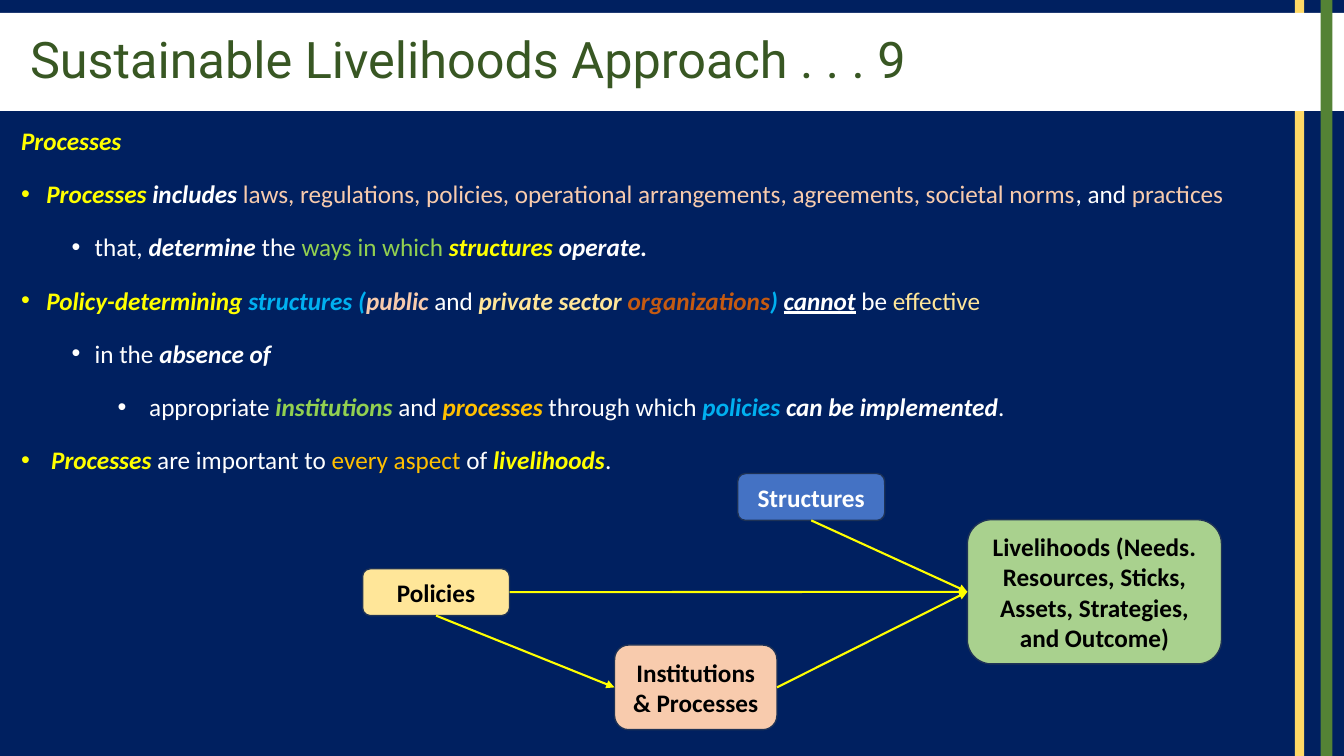
from dataclasses import dataclass

from lxml import etree
from pptx import Presentation
from pptx.dml.color import RGBColor
from pptx.enum.shapes import MSO_CONNECTOR, MSO_SHAPE
from pptx.enum.text import MSO_ANCHOR, PP_ALIGN
from pptx.oxml.ns import qn
from pptx.util import Pt

RECT, ROUNDED = MSO_SHAPE.RECTANGLE, MSO_SHAPE.ROUNDED_RECTANGLE
STRAIGHT = MSO_CONNECTOR.STRAIGHT
MIDDLE, LEFT, CENTER = MSO_ANCHOR.MIDDLE, PP_ALIGN.LEFT, PP_ALIGN.CENTER
LEFT_SIDE, BOTTOM_SIDE, RIGHT_SIDE = 1, 2, 3


@dataclass(frozen=True)
class Theme:
    navy: str = "002060"
    white: str = "FFFFFF"
    black: str = "000000"
    gold: str = "FFD966"
    green: str = "548235"
    title: str = "385723"
    yellow: str = "FFFF00"
    peach: str = "F8CBAD"
    lime: str = "92D050"
    sky: str = "00B0F0"
    cream: str = "FFE699"
    rust: str = "C55A11"
    amber: str = "FFC000"
    blue: str = "4472C4"
    sage: str = "A9D18E"
    outline: str = "1E3256"
    title_font: str = "Roboto"
    text_font: str = "Calibri"
    title_size: int = 36
    text_size: int = 18


THEME = Theme()

# Bullet levels: left margin and hanging indent in points
HEADING, FIRST, SECOND, THIRD, LAST = (0, 0), (18, 18), (52.5, 16.5), (91.5, 22.5), (21.5, 21.5)
PLAIN, STRONG, UNDERLINED = {}, {"bold": True, "italic": True}, {"bold": True, "italic": True, "underline": True}

BODY = [
    (HEADING, [("Processes", THEME.yellow, STRONG)]),
    (FIRST, [
        ("Processes", THEME.yellow, STRONG),
        (" includes ", THEME.white, STRONG),
        ("laws, regulations, policies, operational arrangements, agreements, societal norms",
         THEME.peach, PLAIN),
        (", and ", THEME.white, PLAIN),
        ("practices", THEME.peach, PLAIN)]),
    (SECOND, [
        ("that, ", THEME.white, PLAIN),
        ("determine", THEME.white, STRONG),
        (" the ", THEME.white, PLAIN),
        ("ways in which ", THEME.lime, PLAIN),
        ("structures ", THEME.yellow, STRONG),
        ("operate.", THEME.white, STRONG)]),
    (FIRST, [
        ("Policy-determining ", THEME.yellow, STRONG),
        ("structures (", THEME.sky, STRONG),
        ("public ", THEME.peach, STRONG),
        ("and ", THEME.white, PLAIN),
        ("private sector ", THEME.cream, STRONG),
        ("organizations", THEME.rust, STRONG),
        (") ", THEME.sky, STRONG),
        ("cannot", THEME.white, UNDERLINED),
        (" be ", THEME.white, PLAIN),
        ("effective", THEME.cream, PLAIN)]),
    (SECOND, [
        ("in the ", THEME.white, PLAIN),
        ("absence of", THEME.white, STRONG)]),
    (THIRD, [
        ("appropriate ", THEME.white, PLAIN),
        ("institutions ", THEME.lime, STRONG),
        ("and ", THEME.white, PLAIN),
        ("processes", THEME.amber, STRONG),
        (" through which ", THEME.white, PLAIN),
        ("policies ", THEME.sky, STRONG),
        ("can be implemented", THEME.white, STRONG),
        (".", THEME.white, PLAIN)]),
    (LAST, [
        ("Processes", THEME.yellow, STRONG),
        (" are important to ", THEME.white, PLAIN),
        ("every aspect ", THEME.amber, PLAIN),
        ("of ", THEME.white, PLAIN),
        ("livelihoods", THEME.yellow, STRONG),
        (".", THEME.white, PLAIN)]),
]

# Diagram nodes: box relative to the diagram, fill, text colour
NODES = {
    "Structures": ((268, 0, 105, 33.5), THEME.blue, THEME.white),
    "Policies": ((0, 68, 105, 33.5), THEME.cream, THEME.black),
    "Livelihoods (Needs. Resources, Sticks, Assets, Strategies, and Outcome)":
        ((432, 33, 181.5, 103), THEME.sage, THEME.black),
    "Institutions & Processes": ((180, 122.5, 116, 60.5), THEME.peach, THEME.black),
}


def add_span(para, text, color, size=THEME.text_size, name=THEME.text_font, **styles):
    span = para.add_run()
    span.text = text
    for key, value in {"size": Pt(size), "name": name, **styles}.items():
        setattr(span.font, key, value)
    span.font.color.rgb = RGBColor.from_string(color)


def add_box(page, kind, box, fill, outline=None):
    shape = page.shapes.add_shape(kind, *map(Pt, box))
    shape.shadow.inherit = False
    shape.fill.solid()
    shape.fill.fore_color.rgb = RGBColor.from_string(fill)
    if outline:
        shape.line.color.rgb = RGBColor.from_string(outline)
        shape.line.width = Pt(1)
    else:
        shape.line.fill.background()
    return shape


def add_title(page, box, text):
    banner = add_box(page, RECT, box, THEME.white)
    frame = banner.text_frame
    frame.margin_left = Pt(21.5)
    frame.vertical_anchor = MIDDLE
    para = frame.paragraphs[0]
    para.alignment, para.line_spacing = LEFT, 0.9
    add_span(para, text, THEME.title, THEME.title_size, THEME.title_font)


def add_body(page, box, items):
    frame = page.shapes.add_textbox(*map(Pt, box)).text_frame
    frame.word_wrap = True
    for index, ((margin, hanging), spans) in enumerate(items):
        para = frame.add_paragraph() if index else frame.paragraphs[0]
        para.line_spacing = 1.3
        para.space_before = Pt(10 if index else 0)
        if margin:
            props = para._p.get_or_add_pPr()
            props.set("marL", str(Pt(margin)))
            props.set("indent", str(-Pt(hanging)))
            etree.SubElement(props, qn("a:buFont")).set("typeface", "Arial")
            etree.SubElement(props, qn("a:buChar")).set("char", "•")
        for text, color, styles in spans:
            add_span(para, text, color, **styles)


def add_arrow(page, start, start_side, end, end_side):
    arrow = page.shapes.add_connector(STRAIGHT, 0, 0, 0, 0)
    arrow.begin_connect(start, start_side)
    arrow.end_connect(end, end_side)
    arrow.line.color.rgb = RGBColor.from_string(THEME.yellow)
    arrow.line.width = Pt(1.5)
    etree.SubElement(arrow.line._get_or_add_ln(), qn("a:tailEnd")).set("type", "triangle")
    etree.SubElement(arrow._element.spPr, qn("a:effectLst"))


def add_diagram(page, box):
    left, top = box[:2]
    shapes = []
    for label, ((x, y, width, height), fill, color) in NODES.items():
        node = add_box(page, ROUNDED, (left + x, top + y, width, height), fill, THEME.outline)
        node.text_frame.word_wrap = True
        node.text_frame.vertical_anchor = MIDDLE
        para = node.text_frame.paragraphs[0]
        para.alignment = CENTER
        add_span(para, label, color, bold=True)
        shapes.append(node)
    structures, policies, livelihoods, institutions = shapes
    add_arrow(page, policies, RIGHT_SIDE, livelihoods, LEFT_SIDE)
    add_arrow(page, institutions, RIGHT_SIDE, livelihoods, LEFT_SIDE)
    add_arrow(page, structures, BOTTOM_SIDE, livelihoods, LEFT_SIDE)
    add_arrow(page, policies, BOTTOM_SIDE, institutions, LEFT_SIDE)


def build_page(deck):
    page = deck.slides.add_slide(deck.slide_layouts[6])
    page.background.fill.solid()
    page.background.fill.fore_color.rgb = RGBColor.from_string(THEME.navy)
    # The gold stripe passes behind the title, the green one in front
    add_box(page, RECT, (925, 0, 6.5, 540), THEME.gold)
    add_title(page, (0, 9.25, 960, 70), "Sustainable Livelihoods Approach . . . 9")
    add_body(page, (8, 79.25, 926.5, 460.75), BODY)
    add_box(page, RECT, (943.25, 0, 8.5, 540), THEME.green)
    add_diagram(page, (259, 338.25, 613.5, 183))


def main():
    deck = Presentation()
    deck.slide_width, deck.slide_height = Pt(960), Pt(540)
    build_page(deck)
    deck.save("out.pptx")


if __name__ == "__main__":
    main()
